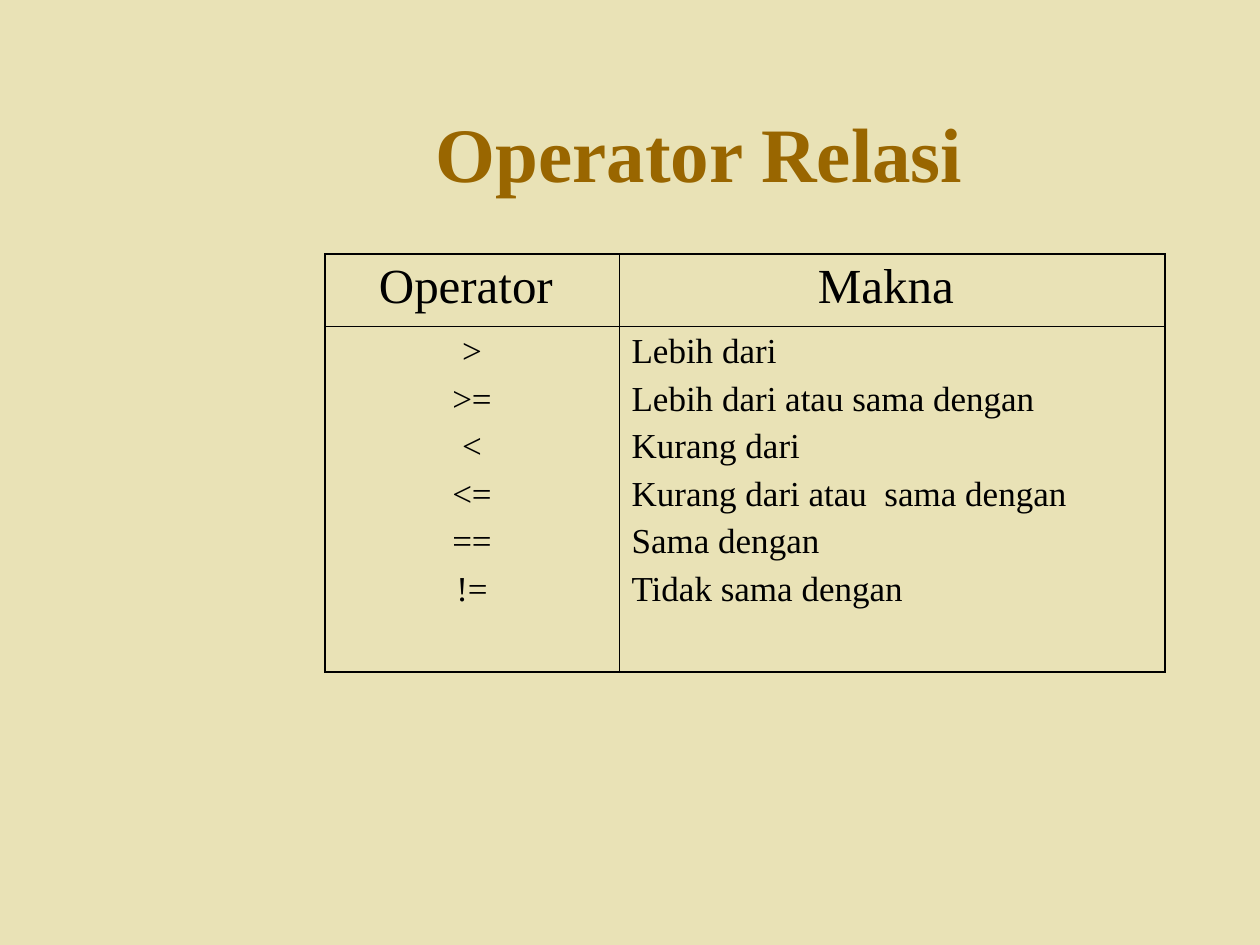
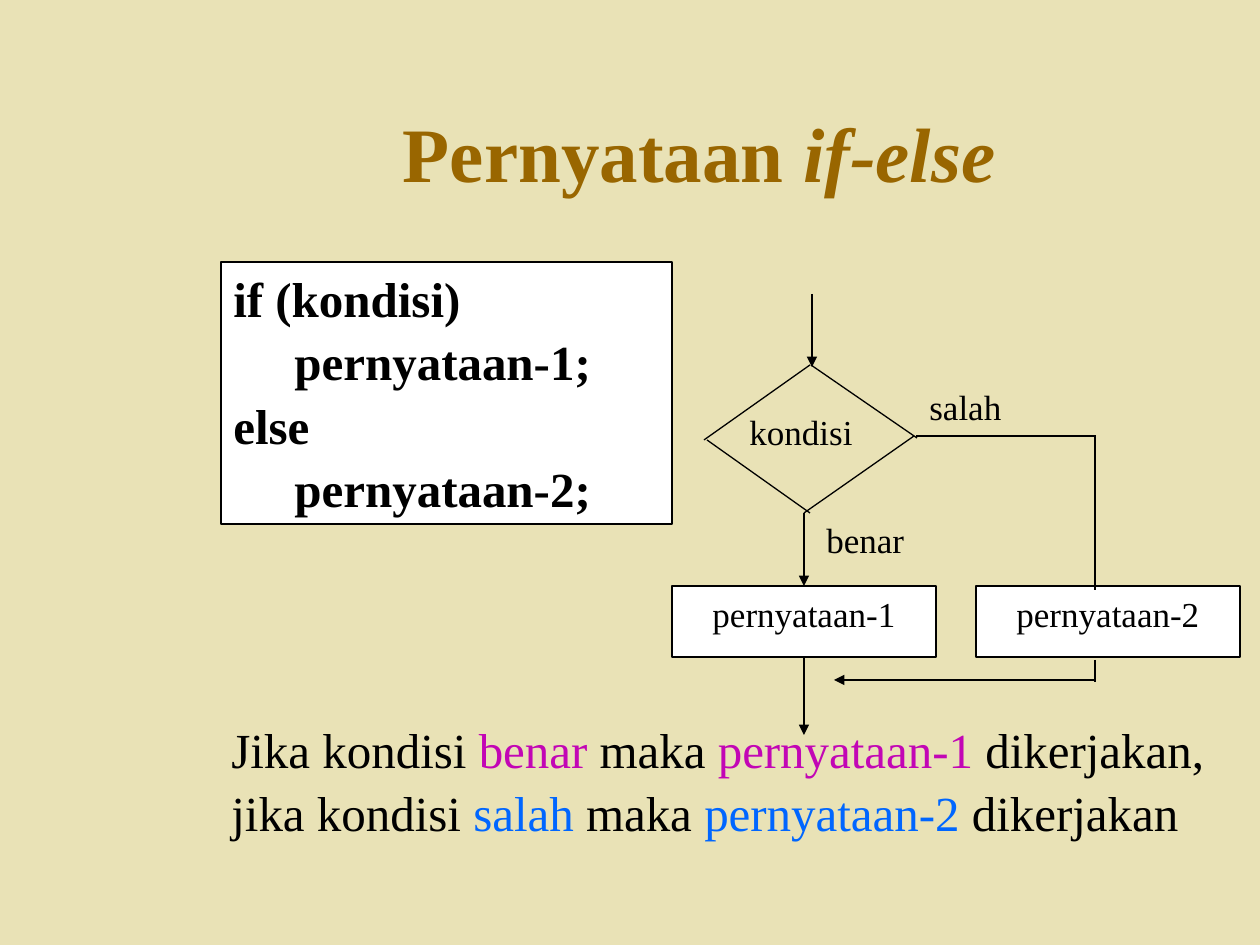
from lxml.etree import SubElement
from pptx import Presentation
from pptx.dml.color import RGBColor
from pptx.enum.shapes import MSO_CONNECTOR as CONN, MSO_SHAPE as SHAPE
from pptx.enum.text import MSO_ANCHOR as ANCHOR, PP_ALIGN as ALIGN
from pptx.oxml.ns import qn
from pptx.util import Pt

PX = 914400 / 126  # EMU in one px
FONT = "Times New Roman"
COLORS = {"paper": "E9E2B6", "title": "996600", "ink": "000000",
          "box": "FFFFFF", "true": "C206B5", "false": "0066FF"}
OUTER, INNER = 1.08, 0.45  # table border widths in points
TOP, BOTTOM = 0, 2  # connection sites of a rectangle


def emu(*lengths):
    return [round(n * PX) for n in lengths]


def rgb(name):
    return RGBColor.from_string(COLORS[name])


# --- Text ---
def write(tf, paragraphs, size, color="ink", bold=False, align=ALIGN.LEFT, gap=0):
    """Each paragraph is a string or a list of (text, run format) pairs."""
    for i, runs in enumerate(paragraphs):
        p = tf.add_paragraph() if i else tf.paragraphs[0]
        p.alignment = align
        p.space_before = Pt(gap if i else 0)
        p.font.name, p.font.size, p.font.bold = FONT, Pt(size), bold
        p.font.color.rgb = rgb(color)
        for text, fmt in [(runs, {})] if isinstance(runs, str) else runs:
            r = p.add_run()
            r.text = text
            if "color" in fmt:
                r.font.color.rgb = rgb(fmt["color"])
            if "italic" in fmt:
                r.font.italic = fmt["italic"]


def add_text(s, box, paragraphs, size, wrap=True, anchor=ANCHOR.TOP, **style):
    tf = s.shapes.add_textbox(*emu(*box)).text_frame
    tf.word_wrap, tf.vertical_anchor = wrap, anchor
    write(tf, paragraphs, size, **style)


def add_slide(prs, title):
    s = prs.slides.add_slide(prs.slide_layouts[6])
    s.background.fill.solid()
    s.background.fill.fore_color.rgb = rgb("paper")
    add_text(s, (189, 73, 1040, 158), [title], 44, anchor=ANCHOR.MIDDLE,
             color="title", bold=True, align=ALIGN.CENTER)
    return s


# --- Boxes and lines ---
def add_box(s, box, paragraphs, size, **style):
    sp = s.shapes.add_shape(SHAPE.RECTANGLE, *emu(*box))
    sp.shadow.inherit = False
    sp.fill.solid()
    sp.fill.fore_color.rgb = rgb("box")
    sp.line.color.rgb = rgb("ink")
    sp.line.width = Pt(0.75)
    sp.text_frame.word_wrap = True
    sp.text_frame.vertical_anchor = ANCHOR.TOP
    write(sp.text_frame, paragraphs, size, **style)
    return sp


def add_line(s, x1, y1, x2, y2, arrow=False):
    line = s.shapes.add_connector(CONN.STRAIGHT, *emu(x1, y1, x2, y2))
    line.line.color.rgb = rgb("ink")
    line.line.width = Pt(0.75)
    if arrow:
        SubElement(line.line._get_or_add_ln(), qn("a:tailEnd"), type="triangle")
    SubElement(line._element.spPr, qn("a:effectLst"))
    return line


# --- Table ---
def set_borders(cell, **widths):
    tcPr = cell._tc.get_or_add_tcPr()
    for side in "LRTB":
        ln = SubElement(tcPr, qn(f"a:ln{side}"), w=str(Pt(widths[side])))
        fill = SubElement(ln, qn("a:solidFill"))
        SubElement(fill, qn("a:srgbClr"), val=COLORS["ink"])


def add_grid(s, left, top, col_widths, row_heights, rows):
    """Each cell is (paragraphs, size, alignment, gap)."""
    n_rows, n_cols = len(row_heights), len(col_widths)
    box = emu(left, top, sum(col_widths), sum(row_heights))
    table = s.shapes.add_table(n_rows, n_cols, *box).table
    table.first_row = table.horz_banding = False
    for col, width in zip(table.columns, emu(*col_widths)):
        col.width = width
    for row, height in zip(table.rows, emu(*row_heights)):
        row.height = height
    for i, row in enumerate(rows):
        for j, (paragraphs, size, align, gap) in enumerate(row):
            cell = table.cell(i, j)
            set_borders(cell, L=INNER if j else OUTER, T=INNER if i else OUTER,
                        R=OUTER if j == n_cols - 1 else INNER,
                        B=OUTER if i == n_rows - 1 else INNER)
            cell.fill.background()
            write(cell.text_frame, paragraphs, size, align=align, gap=gap)


# --- Slides ---
def relation_slide(prs):
    s = add_slide(prs, "Operator Relasi ")
    operators = [">", ">=", "<", "<=", "==", "!="]
    meanings = ["Lebih dari", "Lebih dari atau sama dengan", "Kurang dari",
                "Kurang dari atau  sama dengan", "Sama dengan", "Tidak sama dengan"]
    header = [([text], 28, ALIGN.CENTER, 0) for text in ("Operator ", "Makna ")]
    body = [(operators, 20, ALIGN.CENTER, 5), (meanings, 20, ALIGN.LEFT, 5)]
    add_grid(s, 325, 254, (294, 546), (72, 346), [header, body])


def if_else_slide(prs):
    s = add_slide(prs, [("Pernyataan ", {}), ("if-else ", {"italic": True})])

    # Code
    add_box(s, (221, 262, 451, 262),
            ["if (kondisi)", "     pernyataan-1;", "else", "     pernyataan-2;"],
            28, bold=True, align=ALIGN.JUSTIFY, gap=2.7)

    # Condition diamond and its entry
    for side in [(810, 365, 704, 440), (811, 365, 917, 438),
                 (914, 436, 804, 513), (707, 440, 810, 513)]:
        add_line(s, *side)
    add_line(s, 812, 294, 812, 367, arrow=True)

    # Statement boxes
    first, _ = [add_box(s, (x, 586, 264, 71), [text], 20, align=ALIGN.CENTER)
                for x, text in ((672, "pernyataan-1"), (976, "pernyataan-2"))]

    # True branch
    add_line(s, 804, 513, 804, 586, arrow=True).end_connect(first, TOP)
    add_line(s, 804, 657, 804, 735, arrow=True).begin_connect(first, BOTTOM)

    # False branch
    add_line(s, 916, 436, 1096, 436)
    add_line(s, 1095, 436, 1095, 590)
    add_line(s, 1095, 660, 1095, 682)
    add_line(s, 1095, 680, 834, 680, arrow=True)

    # Labels
    for box, text in [((737, 404, 155, 62), "kondisi"),
                      ((917, 379, 127, 67), "salah"),
                      ((814, 512, 127, 67), "benar")]:
        add_text(s, box, [text], 20)

    # Explanation
    explanation = [
        [("Jika kondisi ", {}), ("benar", {"color": "true"}), (" maka ", {}),
         ("pernyataan-1", {"color": "true"}), (" dikerjakan,", {})],
        [("jika kondisi ", {}), ("salah", {"color": "false"}), (" maka ", {}),
         ("pernyataan-2", {"color": "false"}), (" dikerjakan", {})],
    ]
    add_text(s, (219, 713, 1009, 131), explanation, 28, wrap=False, gap=2.7)


def main():
    prs = Presentation()
    prs.slide_width, prs.slide_height = emu(1260, 945)
    relation_slide(prs)
    if_else_slide(prs)
    prs.save("out.pptx")


if __name__ == "__main__":
    main()
